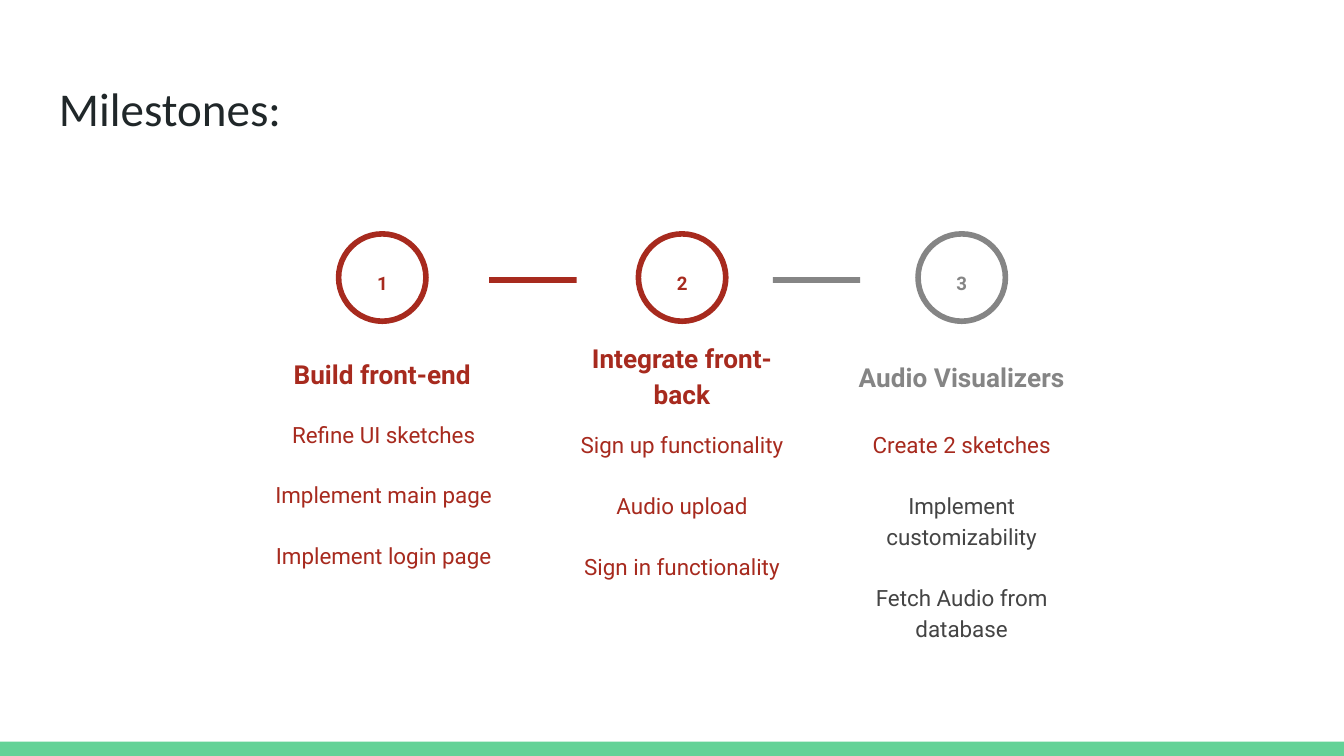
from pptx import Presentation
from pptx.dml.color import RGBColor
from pptx.enum import shapes, text
from pptx.util import Pt

COLORS = {"done": "A72A1E", "pending": "858585", "todo": "444444",
          "title": "202729", "footer": "63D297"}

TITLE = "Milestones:"
# Centre, heading top, tasks top and tasks left inset are in points.
MILESTONES = [
    dict(heading="Build front-end", status="done", center=204.8,
         heading_top=180.7, tasks_top=216, inset=8.6,
         tasks=[("Refine UI sketches", "done"),
                ("Implement main page", "done"),
                ("Implement login page", "done")]),
    dict(heading="Integrate front-back", status="done", center=365.4,
         heading_top=191.5, tasks_top=221.8, inset=7.2,
         tasks=[("Sign up functionality", "done"),
                ("Audio upload", "done"),
                ("Sign in functionality", "done")]),
    dict(heading="Audio Visualizers", status="pending", center=515.2,
         heading_top=182.2, tasks_top=221.8, inset=7.2,
         tasks=[("Create 2 sketches", "done"),
                ("Implement customizability", "todo"),
                ("Fetch Audio from database", "todo")]),
]
LINKS = [(262.1, "done"), (414, "pending")]

WIDTH, HEIGHT = 720, 405
FOOTER_HEIGHT = 7.7
RING_TOP, RING_SIZE = 125.3, 46.8
LINK_TOP, LINK_HEIGHT = 148.5, 3
NUMBER_TOP, NUMBER_SIZE = 136.8, (34.6, 25.2)
HEADING_SIZE = (134.6, 35.3)
TASKS_SIZE = (149.8, 58.3)
INSET = 7.2


def rgb(name):
    return RGBColor.from_string(COLORS[name])


def add_shape(parent, kind, left, top, width, height, fill=None, line=None):
    shape = parent.add_shape(kind, Pt(left), Pt(top), Pt(width), Pt(height))
    shape.shadow.inherit = False
    if fill:
        shape.fill.solid()
        shape.fill.fore_color.rgb = rgb(fill)
    else:
        shape.fill.background()
    if line:
        shape.line.color.rgb = rgb(line)
        shape.line.width = Pt(3)
    else:
        shape.line.fill.background()
    return shape


def add_text(parent, left, top, size, lines, points, font="Roboto", bold=False,
             align=text.PP_ALIGN.CENTER, spacing=1.15, gap=0,
             anchor=text.MSO_ANCHOR.TOP, inset=INSET):
    """Add a text box; lines are (wording, colour) pairs, one per paragraph."""
    box = parent.add_textbox(Pt(left), Pt(top), Pt(size[0]), Pt(size[1]))
    frame = box.text_frame
    frame.word_wrap = True
    frame.vertical_anchor = anchor
    frame.margin_left = Pt(inset)
    frame.margin_top = frame.margin_right = frame.margin_bottom = Pt(INSET)
    for index, (wording, color) in enumerate(lines):
        paragraph = frame.add_paragraph() if index else frame.paragraphs[0]
        paragraph.text = wording
        paragraph.alignment = align
        paragraph.line_spacing = spacing
        if index:
            paragraph.space_before = Pt(gap)
        paragraph.font.name = font
        paragraph.font.size = Pt(points)
        paragraph.font.bold = bold
        paragraph.font.color.rgb = rgb(color)


def add_milestone(slide, number, milestone):
    group = slide.shapes.add_group_shape().shapes
    center, status = milestone["center"], milestone["status"]
    add_shape(group, shapes.MSO_SHAPE.OVAL, center - RING_SIZE / 2, RING_TOP,
              RING_SIZE, RING_SIZE, line=status)
    add_text(group, center - HEADING_SIZE[0] / 2, milestone["heading_top"],
             HEADING_SIZE, [(milestone["heading"], status)], 14, bold=True,
             anchor=text.MSO_ANCHOR.BOTTOM)
    add_text(group, center - TASKS_SIZE[0] / 2, milestone["tasks_top"],
             TASKS_SIZE, milestone["tasks"], 12, gap=16,
             inset=milestone["inset"])
    add_text(group, center - NUMBER_SIZE[0] / 2, NUMBER_TOP, NUMBER_SIZE,
             [(str(number), status)], 10, bold=True)


def main():
    deck = Presentation()
    deck.slide_width, deck.slide_height = Pt(WIDTH), Pt(HEIGHT)
    slide = deck.slides.add_slide(deck.slide_layouts[6])

    add_shape(slide.shapes, shapes.MSO_SHAPE.RECTANGLE, 0,
              HEIGHT - FOOTER_HEIGHT, WIDTH, FOOTER_HEIGHT, fill="footer")
    add_text(slide.shapes, 24.5, 35.3, (671, 45.4), [(TITLE, "title")], 25.2,
             font="Calibri", align=text.PP_ALIGN.LEFT, spacing=1)
    for number, milestone in enumerate(MILESTONES, 1):
        add_milestone(slide, number, milestone)
    for left, status in LINKS:
        link = add_shape(slide.shapes, shapes.MSO_SHAPE.ROUNDED_RECTANGLE,
                         left, LINK_TOP, RING_SIZE, LINK_HEIGHT, fill=status)
        link.adjustments[0] = 0
    deck.save("out.pptx")


if __name__ == "__main__":
    main()
